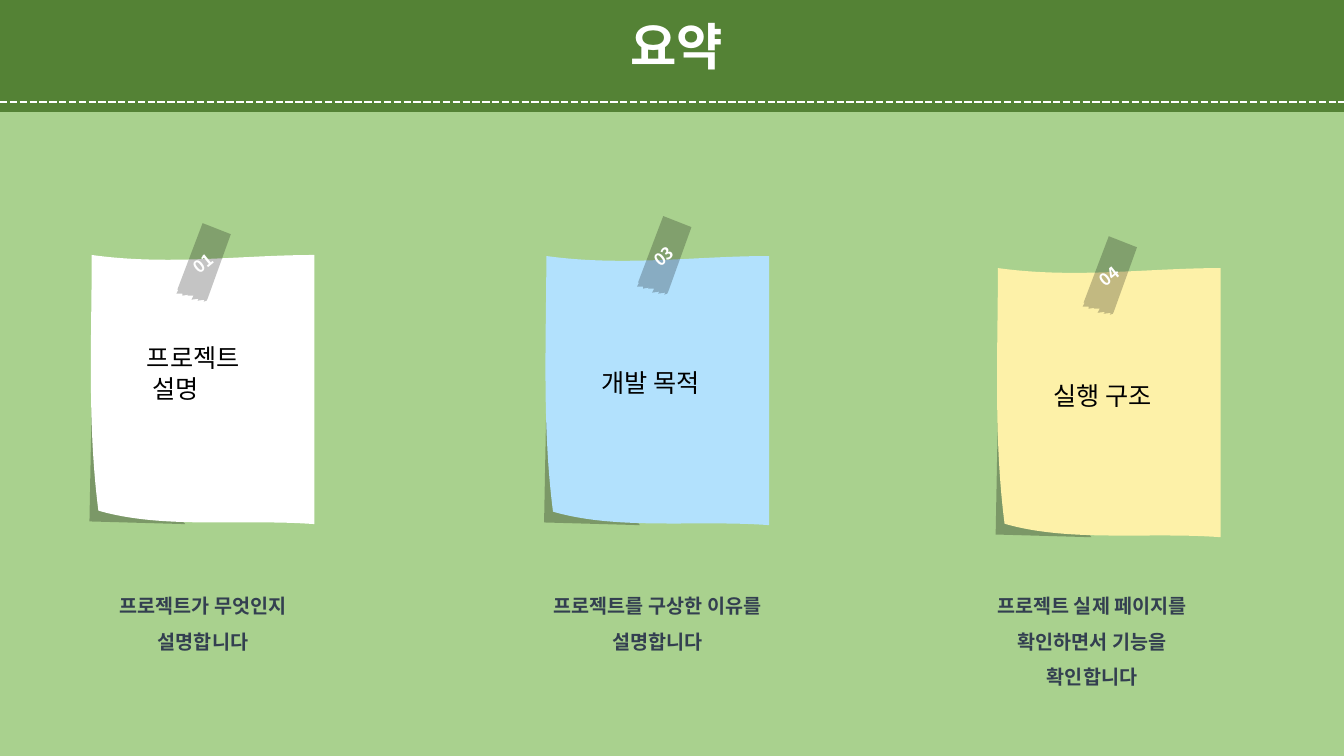
from math import cos, radians, sin

from lxml import etree
from pptx import Presentation
from pptx.dml.color import RGBColor
from pptx.enum.dml import MSO_LINE
from pptx.enum.shapes import MSO_CONNECTOR, MSO_SHAPE
from pptx.enum.text import MSO_ANCHOR, MSO_AUTO_SIZE, PP_ALIGN
from pptx.oxml.ns import qn
from pptx.util import Inches, Pt

CENTER, LEFT = PP_ALIGN.CENTER, PP_ALIGN.LEFT
MIDDLE = MSO_ANCHOR.MIDDLE
GROW = MSO_AUTO_SIZE.SHAPE_TO_FIT_TEXT
DASH = MSO_LINE.SQUARE_DOT
RECTANGLE, STRAIGHT = MSO_SHAPE.RECTANGLE, MSO_CONNECTOR.STRAIGHT
FONT = "Noto Sans CJK KR"
WIDTH, HEIGHT = 40 / 3, 7.5
NOTE_WIDTH, NOTE_HEIGHT = 2.21, 2.67
CAPTION_TOP, CAPTION_WIDTH = 5.73, 2.43
TAPE_TILT = 320.8

SHEET_CORNERS = [(0, 0), (1, 0), (1, 1), (0.03, 0.95), (0, 0)]
SHEET_BENDS = {
    0: [(0.35, 0.04), (0.67, 0)],
    2: [(0.68, 0.98), (0.32, 1.02)],
    3: [(-0.02, 0.63), (0, 0.3)],
}
SHADE = [(0, 0.55), (-0.01, 0.99), (0.42, 1)]
TAPE = [
    (0, -0.4), (0.28, -0.29), (0.05, 0.35), (0.04, 0.37), (0.01, 0.38),
    (0.02, 0.36), (-0.05, 0.37), (-0.04, 0.35), (-0.11, 0.36), (-0.09, 0.32),
    (-0.15, 0.32), (-0.14, 0.31), (-0.2, 0.32), (-0.2, 0.3), (-0.26, 0.3),
    (-0.24, 0.26), (-0.25, 0.26),
]

NOTES = [
    dict(at=(0.91, 2.53), color="FFFFFF", number="01", tape=(2.01, 2.61),
         label="프로젝트\n 설명", label_box=(1.36, 3.35, 2.04, 0.71),
         caption="프로젝트가 무엇인지 설명합니다", caption_at=(0.8, 0.77)),
    dict(at=(5.42, 2.54), color="B2E1FD", number="03", tape=(6.58, 2.54),
         label="개발 목적", label_box=(5.87, 3.59, 1.9, 0.4),
         caption="프로젝트를 구상한 이유를 설명합니다", caption_at=(5.31, 0.77)),
    dict(at=(9.9, 2.66), color="FDF1A8", number="04", tape=(11, 2.74),
         label="실행 구조", label_box=(10.35, 3.72, 1.35, 0.4),
         caption="프로젝트 실제 페이지를 확인하면서 기능을 확인합니다",
         caption_at=(9.62, 1.12)),
]


def paint(item, color, opacity=None):
    """Fill a shape or background, with an optional opacity in percent."""
    item.fill.solid()
    item.fill.fore_color.rgb = RGBColor.from_string(color)
    if opacity:
        tone = item.fill._xPr.find(".//" + qn("a:srgbClr"))
        etree.SubElement(tone, qn("a:alpha"), val=str(opacity * 1000))


def write(frame, text, size, color, bold=False, align=CENTER, spacing=None):
    """Write the lines of a text as paragraphs of one style."""
    frame.text = text
    for para in frame.paragraphs:
        para.alignment = align
        para.line_spacing = spacing
        font = para.font
        font.size, font.bold, font.name = Pt(size), bold, FONT
        font.color.rgb = RGBColor.from_string(color)
        etree.SubElement(font._element, qn("a:ea"), typeface=FONT)


def add_text(page, box, text, size, color, wrap=True, **style):
    """Add a growing text box in the given box."""
    frame = page.shapes.add_textbox(*map(Inches, box)).text_frame
    frame.word_wrap = wrap
    frame.auto_size = GROW
    write(frame, text, size, color, **style)


def add_outline(shapes, points, color, opacity=None):
    """Add a closed, filled outline through points in inches."""
    start, *others = [(Inches(x), Inches(y)) for x, y in points]
    builder = shapes.build_freeform(*start)
    builder.add_line_segments(others, close=True)
    shape = builder.convert_to_shape()
    shape.shadow.inherit = False
    shape.line.fill.background()
    paint(shape, color, opacity)
    return shape


def bend(shape, bends):
    """Turn numbered straight sides into curves with two control points each."""
    sides = list(shape._element.iter(qn("a:lnTo")))
    for index, controls in bends.items():
        side = sides[index]
        side.tag = qn("a:cubicBezTo")
        for position, (x, y) in enumerate(controls):
            point = etree.Element(qn("a:pt"), x=str(Inches(x) - shape.left),
                                  y=str(Inches(y) - shape.top))
            side.insert(position, point)


def add_sheet(page, left, top, color):
    """Add a curled paper sheet and its shade as a group."""
    def place(points):
        return [(left + x * NOTE_WIDTH, top + y * NOTE_HEIGHT) for x, y in points]

    group = page.shapes.add_group_shape()
    add_outline(group.shapes, place(SHADE), "000000", 27)
    sheet = add_outline(group.shapes, place(SHEET_CORNERS), color)
    bend(sheet, {index: place(controls) for index, controls in SHEET_BENDS.items()})


def add_tape(page, center_x, center_y, number):
    """Add a tilted strip of torn tape that carries a number."""
    turn = radians(-TAPE_TILT)
    points = [(center_x + x * cos(turn) - y * sin(turn),
               center_y + x * sin(turn) + y * cos(turn)) for x, y in TAPE]
    tape = add_outline(page.shapes, points, "000000", 23)
    tape.rotation = TAPE_TILT
    tape.text_frame.vertical_anchor = MIDDLE
    write(tape.text_frame, number, 12, "FFFFFF", bold=True)


def add_header(page, height):
    """Add the title band with its dashed seam."""
    band = page.shapes.add_shape(RECTANGLE, 0, 0, Inches(WIDTH), Inches(height))
    band.shadow.inherit = False
    band.line.fill.background()
    paint(band, "548235")
    add_text(page, (6.12, 0.1, 1.19, 0.71), "요약", 36, "FFFFFF", wrap=False, bold=True)
    seam_y = Inches(height - 0.1)
    seam = page.shapes.add_connector(STRAIGHT, 0, seam_y, Inches(WIDTH), seam_y)
    seam.line.color.rgb = RGBColor.from_string("FFFFFF")
    seam.line.width = Pt(1.75)
    seam.line.dash_style = DASH
    etree.SubElement(seam._element.spPr, qn("a:effectLst"))


def add_note(page, note):
    """Add one sheet with its numbered tape."""
    add_sheet(page, *note["at"], note["color"])
    add_tape(page, *note["tape"], note["number"])


def add_caption(page, note):
    """Add the caption below a note."""
    left, height = note["caption_at"]
    add_text(page, (left, CAPTION_TOP, CAPTION_WIDTH, height), note["caption"],
             14, "333F50", bold=True, spacing=1.5)


def add_label(page, note):
    """Add the label on a note."""
    add_text(page, note["label_box"], note["label"], 18, "000000", align=LEFT)


def main():
    """Build the summary slide and save the deck."""
    deck = Presentation()
    deck.slide_width, deck.slide_height = Inches(WIDTH), Inches(HEIGHT)
    page = deck.slides.add_slide(deck.slide_layouts[6])
    paint(page.background, "A9D18E")
    add_header(page, 1.11)
    for add_part in (add_note, add_caption, add_label):
        for note in NOTES:
            add_part(page, note)
    deck.save("out.pptx")


if __name__ == "__main__":
    main()
